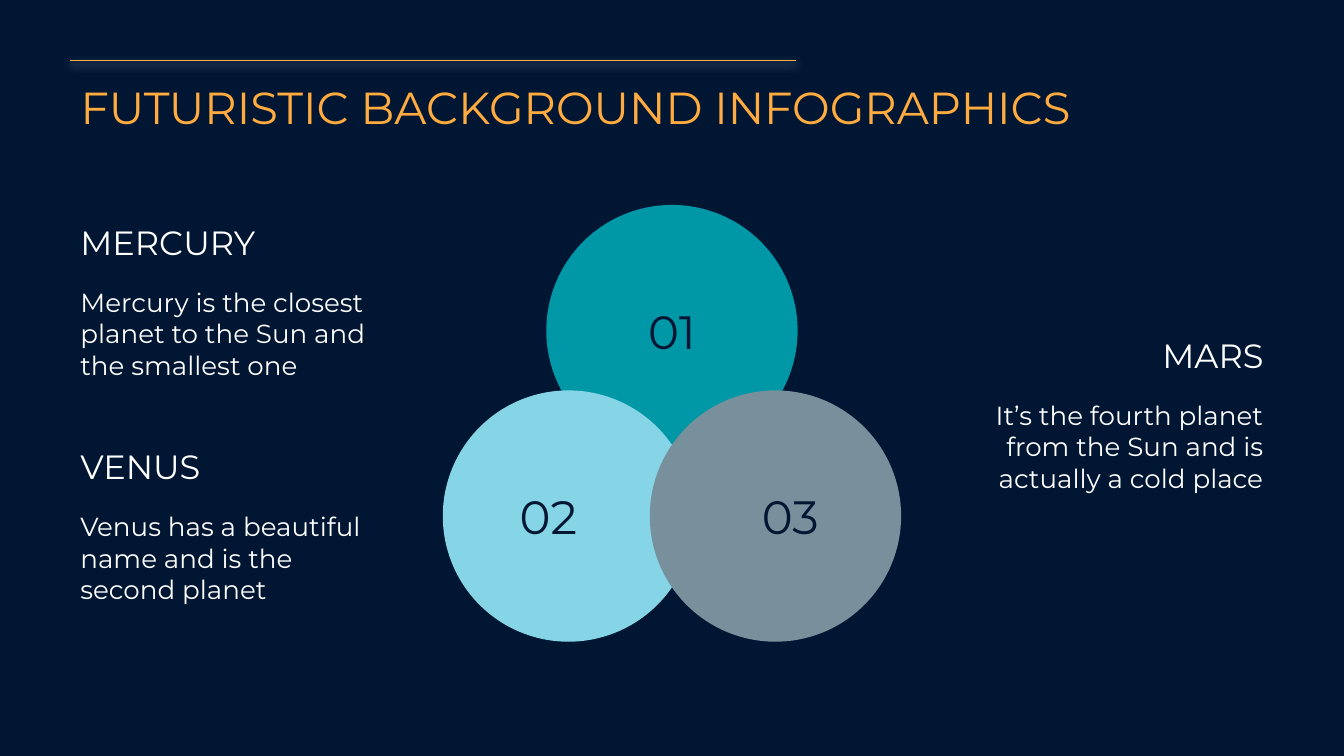
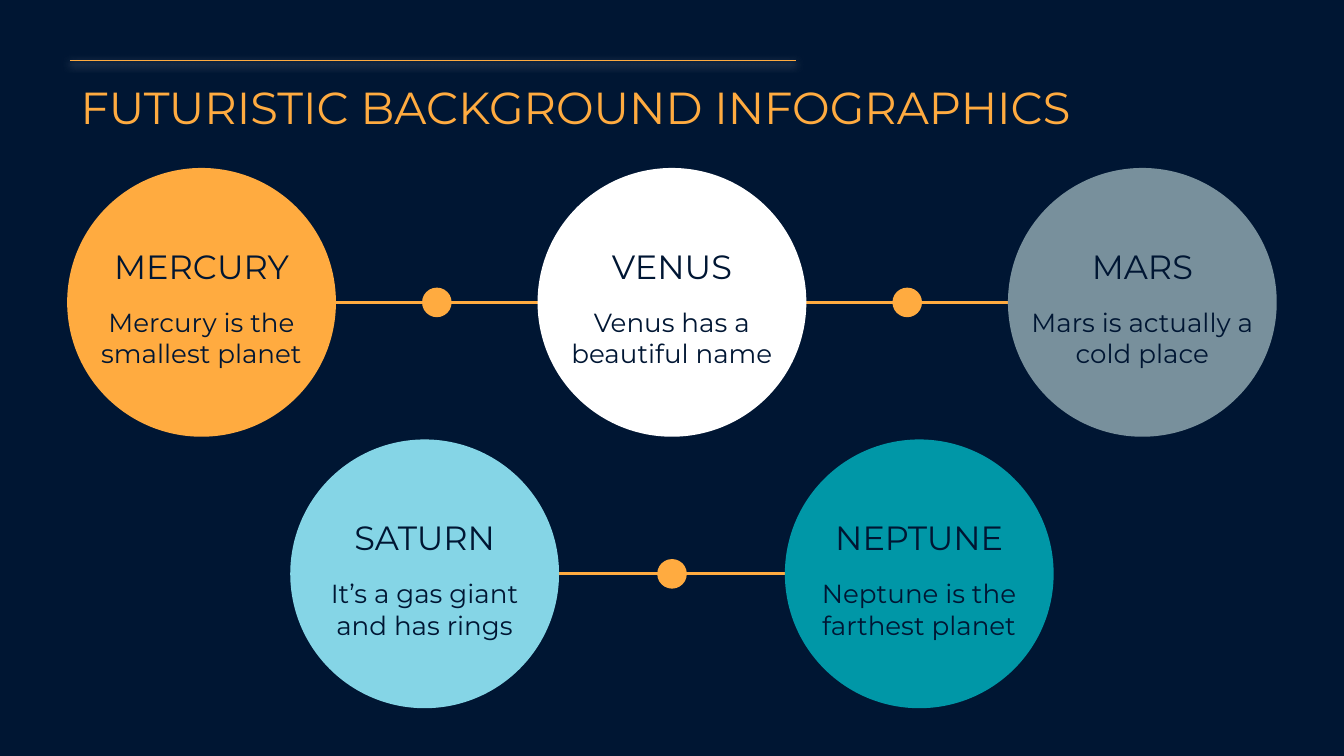
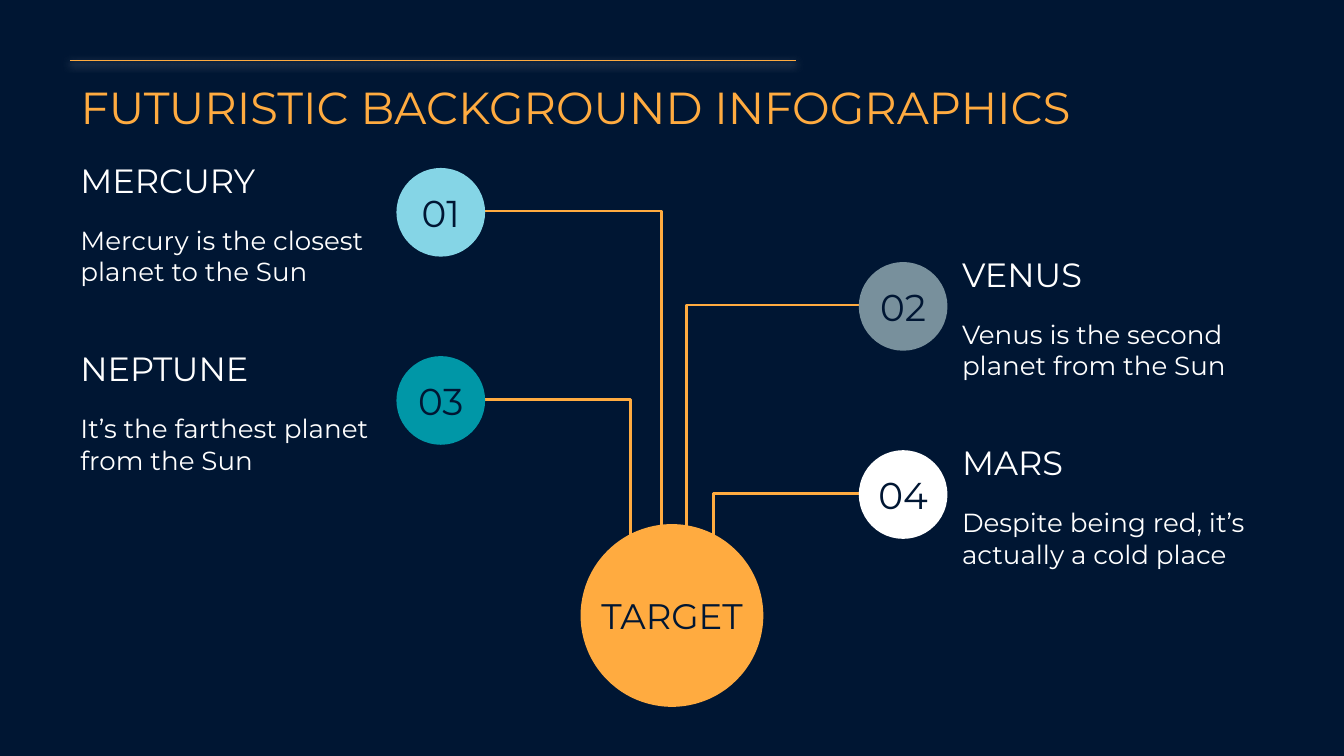
from lxml import etree
from pptx import Presentation
from pptx import util as u
from pptx.dml.color import RGBColor
from pptx.enum import shapes, text
from pptx.oxml import ns

NAVY = RGBColor(0x00, 0x16, 0x33)
AMBER = RGBColor(0xFF, 0xAB, 0x40)
TEAL = RGBColor(0x00, 0x97, 0xA7)
SKY = RGBColor(0x85, 0xD5, 0xE6)
SLATE = RGBColor(0x78, 0x90, 0x9C)
WHITE = RGBColor(0xFF, 0xFF, 0xFF)

FONT = "Montserrat"
TITLE = "FUTURISTIC BACKGROUND INFOGRAPHICS"
W, H = 10, 10 * 9 / 16
MARGIN = 0.5
NOTE_W = 2.44
HEAD_H = 0.6
LEFT, MID, RIGHT = text.PP_ALIGN.LEFT, text.PP_ALIGN.CENTER, text.PP_ALIGN.RIGHT
TOP, CENTRE, BASE = text.MSO_ANCHOR.TOP, text.MSO_ANCHOR.MIDDLE, text.MSO_ANCHOR.BOTTOM

# Circle centre, colour, number, number's centre x
VENN = [
    (5, 2.46, TEAL, "01", 5),
    (4.23, 3.84, SKY, "02", 4.08),
    (5.77, 3.84, SLATE, "03", 5.88),
]
# Heading, body, left, top, alignment
NOTES = [
    ("MERCURY", "Mercury is the closest planet to the Sun and\nthe smallest one",
     MARGIN, 1.45, LEFT),
    ("VENUS", "Venus has a beautiful name and is the second planet",
     MARGIN, 3.12, LEFT),
    ("MARS", "It’s the fourth planet from the Sun and is actually a cold place",
     W - MARGIN - NOTE_W, 2.29, RIGHT),
]
# Row centre y, first centre x, then the planets spread evenly about the middle
CHAINS = [
    (4.27, 3.16, [("SATURN", "It’s a gas giant and has rings", SKY),
                  ("NEPTUNE", "Neptune is the farthest planet", TEAL)]),
    (2.25, 1.5, [("MERCURY", "Mercury is the smallest planet", AMBER),
                 ("VENUS", "Venus has a beautiful name", WHITE),
                 ("MARS", "Mars is actually a cold place", SLATE)]),
]
# Heading, body, colour, x where the branch meets the target; sides alternate
BRANCHES = [
    ("MERCURY", "Mercury is the closest planet to the Sun", SKY, 4.92),
    ("VENUS", "Venus is the second planet from the Sun", SLATE, 5.11),
    ("NEPTUNE", "It’s the farthest planet from the Sun", TEAL, 4.69),
    ("MARS", "Despite being red, it’s actually a cold place", WHITE, 5.31),
]


def place(shape, *box):
    shape.left, shape.top, shape.width, shape.height = map(u.Inches, box)


def write(shape, words, size, colour, align=MID, anchor=CENTRE, inset=0.1):
    frame = shape.text_frame
    frame.text = words
    frame.word_wrap = True
    frame.auto_size = text.MSO_AUTO_SIZE.NONE
    frame.vertical_anchor = anchor
    frame.margin_left = frame.margin_right = u.Inches(inset)
    frame.margin_top = frame.margin_bottom = u.Inches(inset)
    for par in frame.paragraphs:
        par.alignment = align
        par.font.name, par.font.size = FONT, u.Pt(size)
        par.font.color.rgb = colour


def label(slide, words, box, *style):
    write(slide.shapes.add_textbox(*map(u.Inches, box)), words, *style)


def disc(slide, x, y, size, colour):
    box = (x - size / 2, y - size / 2, size, size)
    shape = slide.shapes.add_shape(shapes.MSO_SHAPE.OVAL, *map(u.Inches, box))
    shape.shadow.inherit = False
    shape.fill.solid()
    shape.fill.fore_color.rgb = colour
    shape.line.fill.background()
    return shape


def link(slide, kind, ends, width):
    """Draw a connector and return it with its empty effect list."""
    wire = slide.shapes.add_connector(kind, *map(u.Inches, ends))
    wire.line.color.rgb, wire.line.width = AMBER, u.Pt(width)
    props = wire.element.spPr
    return wire, etree.SubElement(props, ns.qn("a:effectLst"))


def note(slide, head, body, x, y, width, drop, depth, colour, align):
    label(slide, head, (x, y, width, HEAD_H), 18, colour, align, BASE)
    label(slide, body, (x, y + drop, width, depth), 14, colour, align, TOP)


def start(deck):
    """Add a slide with the shared rule and title."""
    slide = deck.slides.add_slide(deck.slide_layouts[5])
    place(slide.shapes.title, MARGIN, 0.49, 8.75, 0.52)
    write(slide.shapes.title, TITLE, 24, AMBER, LEFT, TOP)
    _, effects = link(slide, shapes.MSO_CONNECTOR.STRAIGHT, (0.52, 0.45, 5.92, 0.45), 0.75)
    glow = etree.SubElement(effects, ns.qn("a:outerShdw"), blurRad=str(u.Pt(4.5)),
                            dist=str(u.Pt(1.5)), dir="5400000", algn="bl", rotWithShape="0")
    tint = etree.SubElement(glow, ns.qn("a:srgbClr"), val=str(WHITE))
    etree.SubElement(tint, ns.qn("a:alpha"), val="50000")
    return slide


def venn(deck):
    slide = start(deck)
    for x, y, colour, _, _ in VENN:
        disc(slide, x, y, 1.87, colour)
    for _, y, _, number, x in VENN:
        label(slide, number, (x - 0.66, y - 0.22, 1.32, 0.44), 25, NAVY)
    for head, body, x, y, align in NOTES:
        note(slide, head, body, x, y, NOTE_W, 0.58, 0.85, WHITE, align)


def chain(deck):
    slide = start(deck)
    for y, first, planets in CHAINS:
        step = (W - 2 * first) / (len(planets) - 1)
        link(slide, shapes.MSO_CONNECTOR.STRAIGHT, (first, y, W - first, y), 1.5)
        for i, (head, body, colour) in enumerate(planets):
            x = first + i * step
            disc(slide, x, y, 2, colour)
            if i:
                disc(slide, x - step / 2, y, 0.22, AMBER)
            note(slide, head, body, x - 0.93, y - 0.62, 1.86, 0.55, 0.7, NAVY, MID)


def target(deck):
    slide = start(deck)
    disc(slide, W / 2, 4.58, 1.36, AMBER)
    label(slide, "TARGET", (W / 2 - 0.66, 4.36, 1.32, 0.44), 19, NAVY)
    for i, (head, body, colour, trunk) in enumerate(BRANCHES):
        top = 0.99 + 0.7 * i
        y = top + 0.59
        x, left = ((3.28, MARGIN), (W - 3.28, W - MARGIN - NOTE_W))[i % 2]
        # Elbow that turns down only at its far end
        wire, _ = link(slide, shapes.MSO_CONNECTOR.ELBOW, (x, y - 0.01, trunk, 4.05), 1.5)
        bends = wire.element.spPr.find(ns.qn("a:prstGeom")).get_or_add_avLst()
        etree.SubElement(bends, ns.qn("a:gd"), name="adj1", fmla="val 100000")
        write(disc(slide, x, y, 0.66, colour), f"{i + 1:02}", 20, NAVY, MID, CENTRE, 0)
        note(slide, head, body, left, top, NOTE_W, 0.58, 0.66, WHITE, LEFT)


def main():
    deck = Presentation()
    deck.slide_width, deck.slide_height = u.Inches(W), u.Inches(H)
    back = deck.slide_master.background.fill
    back.solid()
    back.fore_color.rgb = NAVY
    for build in (venn, chain, target):
        build(deck)
    deck.save("out.pptx")


if __name__ == "__main__":
    main()
